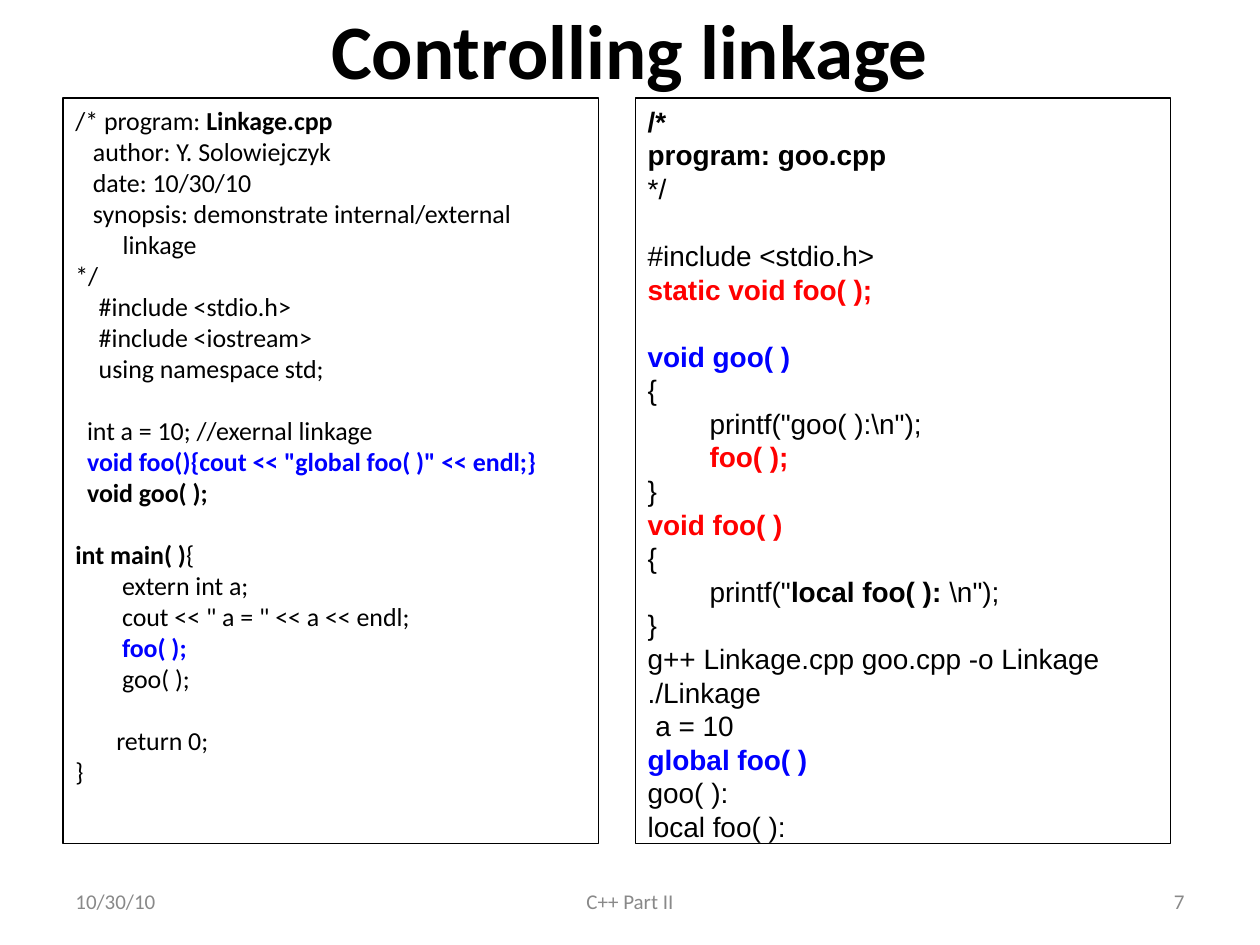
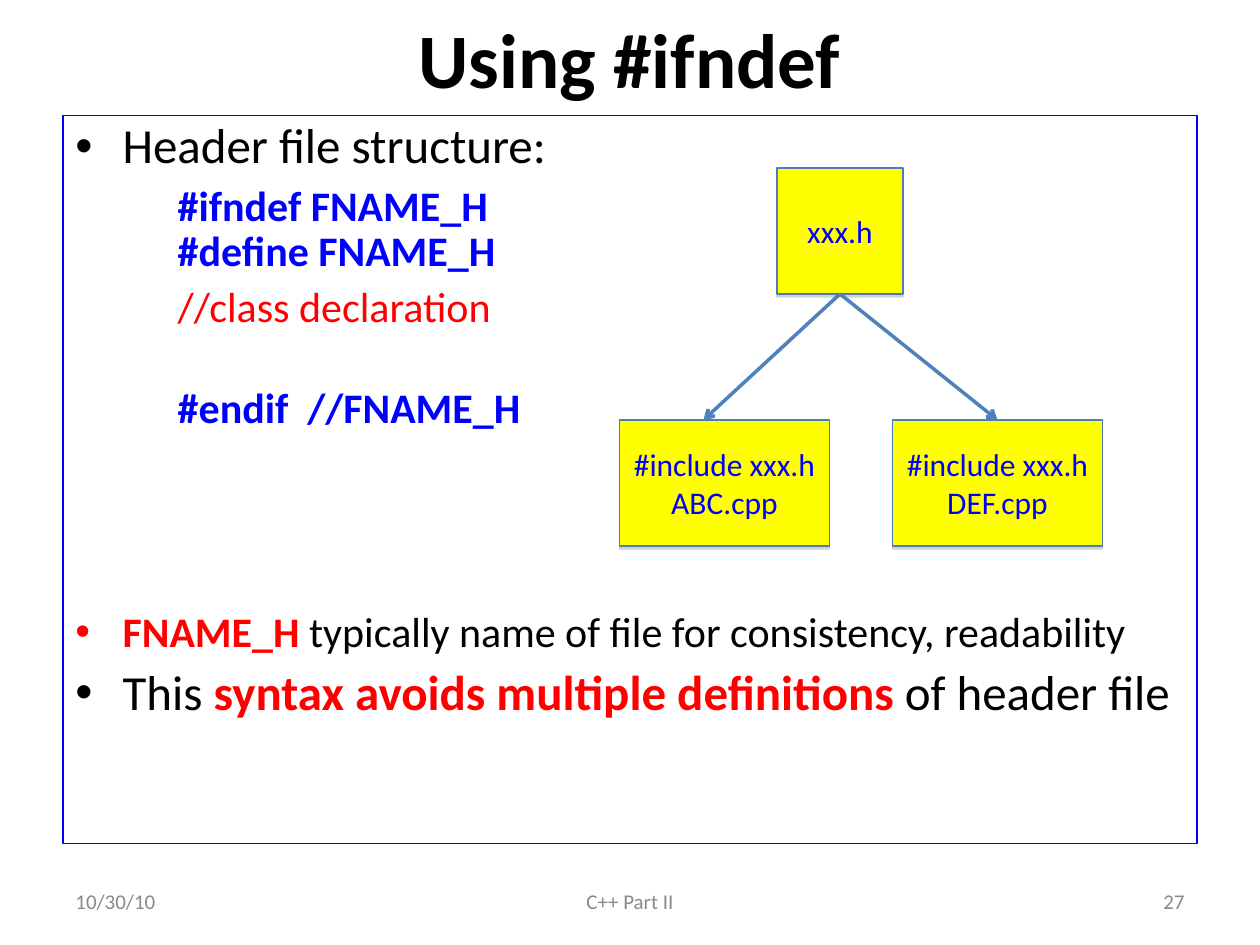
"""Build two lecture slides on C++ linkage and header guards."""
from lxml import etree
from pptx import Presentation
from pptx.dml.color import RGBColor
from pptx.enum.shapes import MSO_CONNECTOR, MSO_SHAPE
from pptx.enum.text import MSO_ANCHOR, PP_ALIGN
from pptx.oxml.ns import qn
from pptx.util import Pt

LEFT, MID, RIGHT = PP_ALIGN.LEFT, PP_ALIGN.CENTER, PP_ALIGN.RIGHT
TOP, CENTER = MSO_ANCHOR.TOP, MSO_ANCHOR.MIDDLE
RECT, LINE = MSO_SHAPE.RECTANGLE, MSO_CONNECTOR.STRAIGHT
HEX = {"black": "000000", "blue": "0000FF", "red": "FF0000", "gray": "898989",
       "yellow": "FFFF00", "edge": "4A7EBB", "arrow": "4F81BD", "shade": "808080"}
BOLD = {"bold": True}
BLUE = {"color": "blue", "bold": True}
RED = {"color": "red", "bold": True}

LINKAGE = [
    [("/* program: ", {}), ("Linkage.cpp", BOLD)],
    "   author: Y. Solowiejczyk",
    "   date: 10/30/10",
    "   synopsis: demonstrate internal/external linkage",
    "*/",
    "    #include <stdio.h>",
    "    #include <iostream>",
    "    using namespace std;",
    None,
    "  int a = 10; //exernal linkage",
    [('  void foo(){cout << "global foo( )" << endl;}', BLUE)],
    [("  void goo( );", BOLD)],
    None,
    [("int main( )", BOLD), ("{", {})],
    "        extern int a;",
    '        cout << " a = " << a << endl;',
    [("        foo( );", BLUE)],
    "        goo( );",
    None,
    "       return 0;",
    "}",
]
GOO = [
    [("/*", BOLD)],
    [("program: goo.cpp", BOLD)],
    "*/",
    None,
    "#include <stdio.h>",
    [("static void foo( );", RED)],
    None,
    [("void goo( )", BLUE)],
    "{",
    '        printf("goo( ):\\n");',
    [("        foo( );", RED)],
    "}",
    [("void foo( )", RED)],
    "{",
    [('        printf("', {}), ("local foo( ): ", BOLD), ('\\n");', {})],
    "}",
    "g++ Linkage.cpp goo.cpp -o Linkage",
    "./Linkage",
    " a = 10",
    [("global foo( )", BLUE)],
    "goo( ):",
    "local foo( ):",
]


def tint(name):
    return RGBColor.from_string(HEX[name])


def write(frame, lines, size=18, font="Calibri", color="black", bold=False, align=LEFT,
          pitch=None, before=0, left=0, hang=0, bullet=None, fresh=True):
    """Write lines into a frame; None leaves a gap of one line."""
    gap = before
    for line in lines:
        if line is None:
            gap += pitch
            continue
        para = frame.paragraphs[0] if fresh else frame.add_paragraph()
        para.alignment = align
        if pitch:
            para.line_spacing = Pt(pitch) if pitch > 2 else pitch
        if not fresh:
            para.space_before = Pt(gap)
        fresh, gap = False, before
        props = para._p.get_or_add_pPr()
        props.set("marL", str(Pt(left)))
        props.set("indent", str(-Pt(hang)))
        if bullet:
            fill = etree.SubElement(props, qn("a:buClr"))
            etree.SubElement(fill, qn("a:srgbClr"), val=HEX[bullet])
            etree.SubElement(props, qn("a:buFont"), typeface="Arial")
            etree.SubElement(props, qn("a:buChar"), char="•")
        for text, style in [(line, {})] if isinstance(line, str) else line:
            run = para.add_run()
            run.text = text
            run.font.name = font
            run.font.size = Pt(size)
            run.font.bold = style.get("bold", bold)
            run.font.color.rgb = tint(style.get("color", color))


class Deck:
    """Hold the style and the current slide."""

    def __init__(self):
        self.show = Presentation()
        self.show.slide_width, self.show.slide_height = Pt(720), Pt(540)

    def page(self, title, depth, number):
        self.slide = self.show.slides.add_slide(self.show.slide_layouts[6])
        self.label(title, 36, 0, 648, depth, size=44, bold=True, align=MID)
        feet = (("10/30/10", 36, 168, LEFT), ("C++ Part II", 246, 228, MID),
                (str(number), 516, 168, RIGHT))
        for text, x, wide, align in feet:
            self.label(text, x, 500.5, wide, 28.75, size=12, color="gray", align=align)

    def label(self, text, x, y, wide, high, **style):
        frame = self.slide.shapes.add_textbox(Pt(x), Pt(y), Pt(wide), Pt(high)).text_frame
        frame.word_wrap = True
        frame.vertical_anchor = CENTER
        frame.margin_top = frame.margin_bottom = 0
        write(frame, [text], **style)

    def box(self, x, y, wide, high, edge="black", fill=None, anchor=TOP):
        shape = self.slide.shapes.add_shape(RECT, Pt(x), Pt(y), Pt(wide), Pt(high))
        shape.shadow.inherit = False
        shape.line.color.rgb = tint(edge)
        shape.line.width = Pt(0.75)
        if fill:
            shape.fill.solid()
            shape.fill.fore_color.rgb = tint(fill)
        else:
            shape.fill.background()
        shape.text_frame.word_wrap = True
        shape.text_frame.vertical_anchor = anchor
        return shape

    def node(self, lines, x, y, wide):
        shape = self.box(x, y, wide, 72, "edge", "yellow", CENTER)
        effect = shape._element.spPr.find(qn("a:effectLst"))
        shade = etree.SubElement(effect, qn("a:outerShdw"), blurRad="0", dist=str(Pt(1.8)),
                                 dir="5400000", rotWithShape="0")
        color = etree.SubElement(shade, qn("a:srgbClr"), val=HEX["shade"])
        etree.SubElement(color, qn("a:alpha"), val="35000")
        write(shape.text_frame, lines, color="blue", align=MID)

    def arrow(self, x1, y1, x2, y2):
        link = self.slide.shapes.add_connector(LINE, Pt(x1), Pt(y1), Pt(x2), Pt(y2))
        link.line.color.rgb = tint("arrow")
        link.line.width = Pt(2)
        etree.SubElement(link.line._get_or_add_ln(), qn("a:tailEnd"), type="arrow")
        etree.SubElement(link._element.spPr, qn("a:effectLst"))


def linkage(deck):
    deck.page("Controlling linkage", 56, 7)
    main = deck.box(36, 56, 306, 426)
    write(main.text_frame, LINKAGE, size=14.8, pitch=17.74, left=27, hang=27)
    goo = deck.box(363, 56, 306, 426)
    write(goo.text_frame, GOO, size=16, font="Arial", pitch=19.2)


def guard(deck):
    deck.page("Using #ifndef", 66, 27)
    frame = deck.box(36, 66, 648, 416, "blue").text_frame
    item = {"pitch": 0.9, "left": 27, "hang": 27}
    code = {"size": 24, "pitch": 0.9, "left": 58.5, "fresh": False}
    write(frame, ["Header file structure:"], size=28, bullet="black", **item)
    write(frame, ["#ifndef FNAME_H"], before=6, **BLUE, **code)
    write(frame, ["#define FNAME_H"], **BLUE, **code)
    write(frame, ["//class declaration"], before=6, color="red", **code)
    write(frame, ["#endif  //FNAME_H"], before=31.7, **BLUE, **code)
    write(frame, [[("FNAME_H ", RED),
                   ("typically name of file for consistency, readability", {})]],
          size=24, before=102, bullet="red", fresh=False, **item)
    write(frame, [[("This ", {}), ("syntax avoids multiple definitions ", RED),
                   ("of header file", {})]],
          size=28, before=7, bullet="black", fresh=False, **item)
    deck.node(["xxx.h"], 444, 96, 72)
    for name, x, tip in (("ABC.cpp", 354, 402), ("DEF.cpp", 510, 570)):
        deck.node(["#include xxx.h", name], x, 240, 120)
        deck.arrow(480, 168, tip, 240)


def main():
    deck = Deck()
    linkage(deck)
    guard(deck)
    deck.show.save("out.pptx")


if __name__ == "__main__":
    main()
